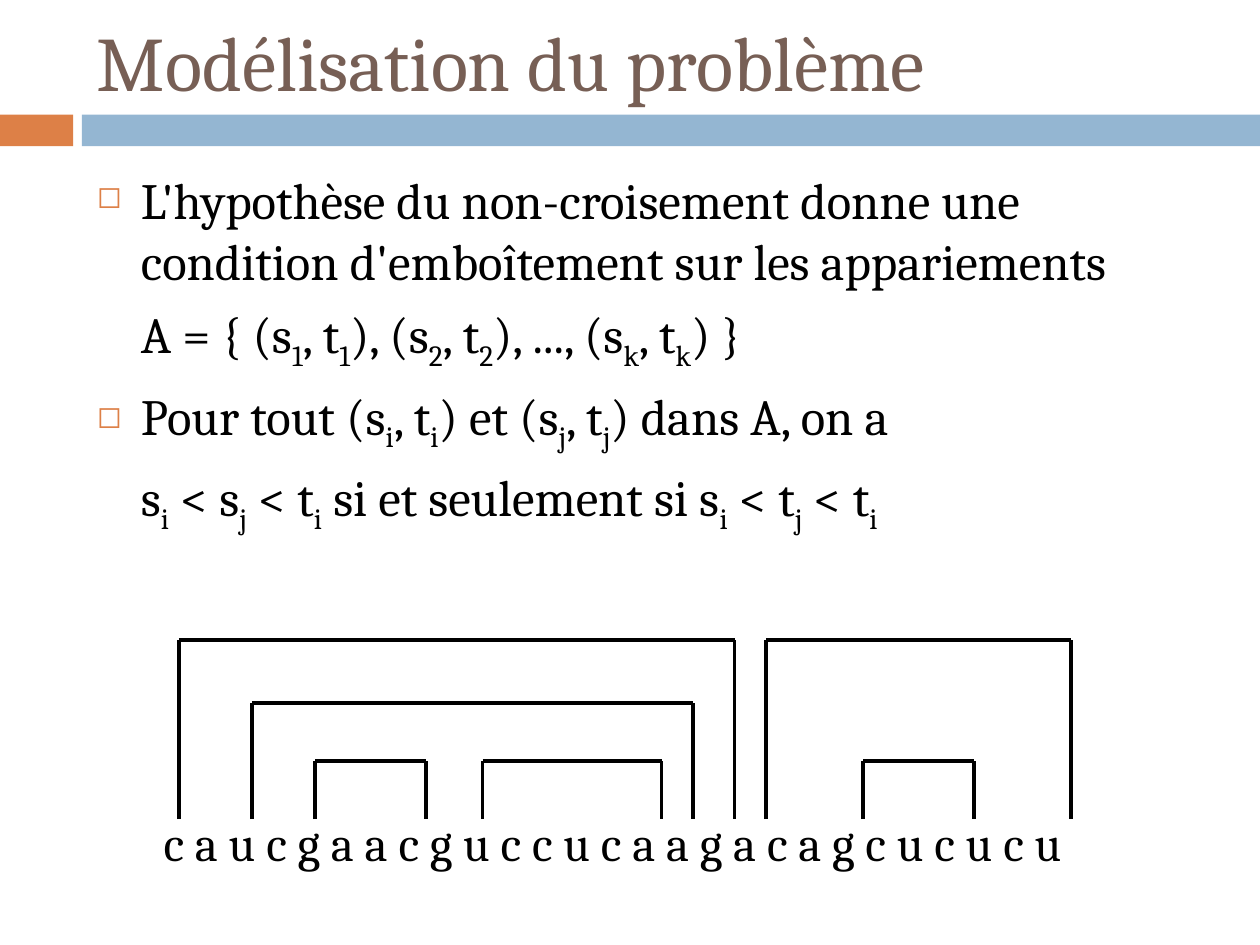
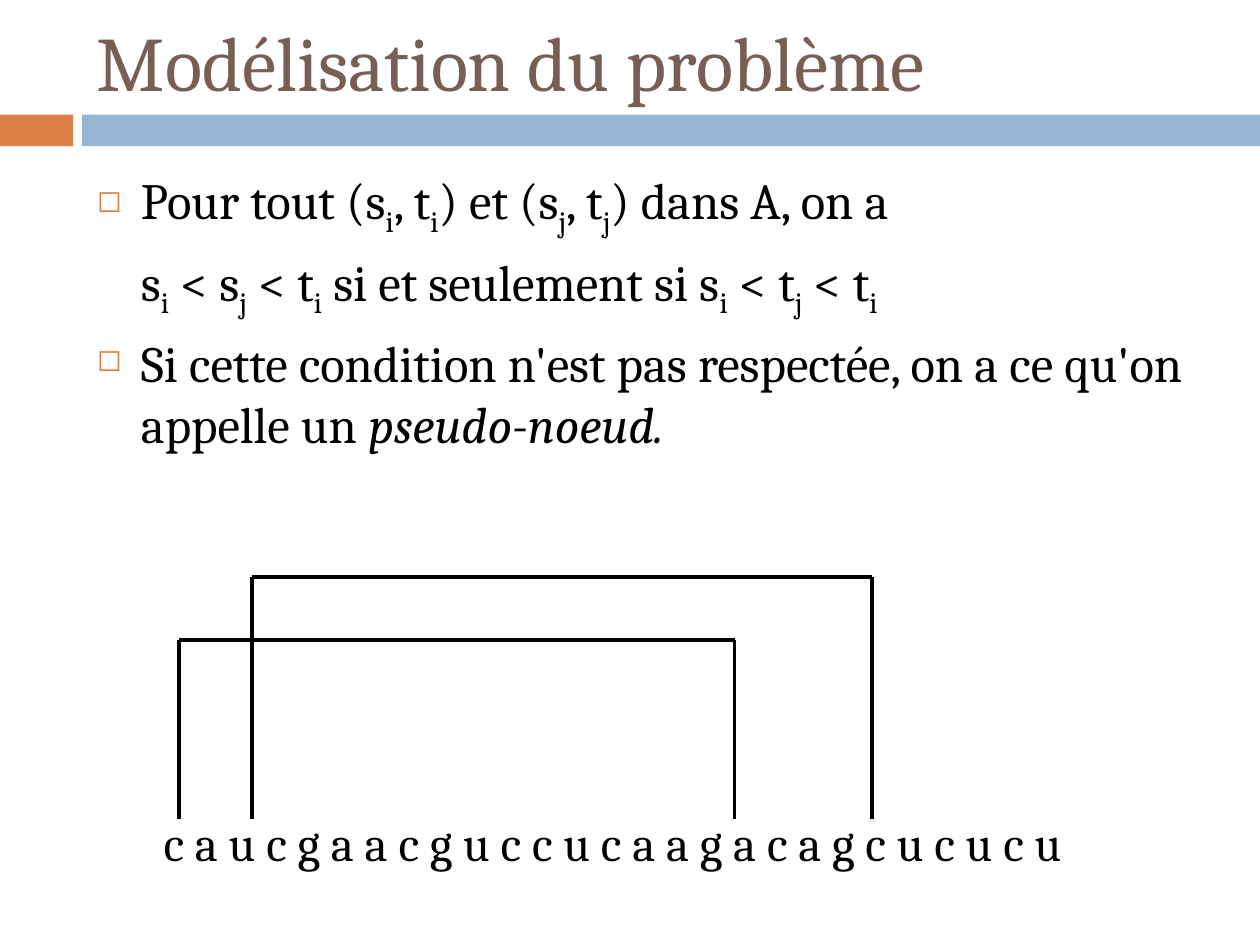
from lxml import etree
from pptx import Presentation
from pptx.dml.color import RGBColor
from pptx.enum.shapes import MSO_CONNECTOR as LINE, MSO_SHAPE as SHAPE
from pptx.enum.text import MSO_ANCHOR as ANCHOR
from pptx.oxml.ns import qn
from pptx.util import Inches, Pt

FONT = "Cambria"
BLACK, BROWN, ORANGE, BLUE = "000000", "775F55", "DD8047", "94B6D2"
TITLE = "Modélisation du problème"
SEQUENCE = "caucgaacguccucaagacagcucucu"
BASE_LINE = 6.5
LOW, MIDDLE, HIGH, TOP = 6.04, 5.58, 5.08, 4.58
OUTER_ARC = (1.42, 5.83, HIGH)

CONDITION = [
    dict(text="Pour tout (s_i, t_i) et (s_j, t_j) dans A, on a", bullet=True),
    dict(text="s_i < s_j < t_i si et seulement si s_i < t_j < t_i"),
]
NESTED = [
    dict(text="L'hypothèse du non-croisement donne une condition d'emboîtement "
              "sur les appariements", bullet=True),
    dict(text="A = { (s_1, t_1), (s_2, t_2), ..., (s_k, t_k) }"),
    *CONDITION,
]
PSEUDOKNOT = [
    *CONDITION,
    dict(text="Si cette condition n'est pas respectée, on a ce qu'on appelle un ",
         bullet=True, emphasis="pseudo-noeud."),
]
NESTED_ARCS = [
    OUTER_ARC, (2, 5.5, MIDDLE), (2.5, 3.38, LOW), (3.83, 5.25, LOW),
    (6.08, 8.5, HIGH), (6.85, 7.73, LOW),
]
CROSSING_ARCS = [OUTER_ARC, (2, 6.92, TOP)]


def color(value):
    """Turn a hex string into a colour."""
    return RGBColor.from_string(value)


def add_text(para, text, size=29, fill=BLACK, italic=False, subscript=False):
    """Append one formatted span to a paragraph."""
    span = para.add_run()
    span.text = text
    span.font.name = FONT
    span.font.size = Pt(size)
    span.font.color.rgb = color(fill)
    if italic:
        span.font.italic = True
    if subscript:
        span.font._element.set("baseline", "-25000")


def add_box(page, left, top, width, height, anchor=ANCHOR.TOP):
    """Add a wrapping text box and return its text frame."""
    box = page.shapes.add_textbox(*map(Inches, (left, top, width, height)))
    frame = box.text_frame
    frame.word_wrap = True
    frame.vertical_anchor = anchor
    return frame


def add_band(page, left, width, fill):
    """Add one part of the band under the title."""
    band = page.shapes.add_shape(
        SHAPE.RECTANGLE, *map(Inches, (left, 0.91, width, 0.25)))
    band.shadow.inherit = False
    band.fill.solid()
    band.fill.fore_color.rgb = color(fill)
    band.line.fill.background()


def indent(para, bullet):
    """Indent a paragraph, with a hanging square bullet if asked."""
    props = para._p.get_or_add_pPr()
    props.set("marL", str(Inches(0.35)))
    props.set("indent", str(Inches(-0.35) if bullet else 0))
    if bullet:
        tint = etree.SubElement(props, qn("a:buClr"))
        etree.SubElement(tint, qn("a:srgbClr"), val=ORANGE)
        etree.SubElement(props, qn("a:buSzPct"), val="60000")
        etree.SubElement(props, qn("a:buChar"), char="◻")


def add_statement(para, text, bullet=False, emphasis=""):
    """Write a statement in which an underscore lowers the next letter."""
    indent(para, bullet)
    start, *parts = text.split("_")
    add_text(para, start)
    for part in parts:
        add_text(para, part[0], subscript=True)
        if part[1:]:
            add_text(para, part[1:])
    if emphasis:
        add_text(para, emphasis, italic=True)


def add_body(page, statements):
    """Add the list of statements."""
    frame = add_box(page, 0.67, 1.29, 8.92, 4.92)
    for number, statement in enumerate(statements):
        para = frame.add_paragraph() if number else frame.paragraphs[0]
        if number:
            para.space_before = Pt(7)
        add_statement(para, **statement)


def add_line(page, start, end):
    """Draw a straight black line between two points."""
    line = page.shapes.add_connector(LINE.STRAIGHT, *map(Inches, start + end))
    line.line.color.rgb = color(BLACK)
    line.line.width = Pt(2)
    etree.SubElement(line._element.spPr, qn("a:effectLst"))


def add_arc(page, left, right, top):
    """Join two bases of the sequence with a square bracket."""
    corners = [(left, BASE_LINE), (left, top), (right, top), (right, BASE_LINE)]
    for start, end in zip(corners, corners[1:]):
        add_line(page, start, end)


def add_page(deck, statements, arcs):
    """Build a page: title, band, statements and paired sequence."""
    page = deck.slides.add_slide(deck.slide_layouts[6])
    add_band(page, 0, 0.58, ORANGE)
    add_band(page, 0.65, 9.35, BLUE)
    title = add_box(page, 0.67, 0.07, 8.92, 0.83, ANCHOR.MIDDLE)
    add_text(title.paragraphs[0], TITLE, size=44, fill=BROWN)
    add_body(page, statements)
    bases = add_box(page, 1.2, 6.4, 7.59, 0.57)
    add_text(bases.paragraphs[0], " ".join(SEQUENCE), size=28)
    for arc in arcs:
        add_arc(page, *arc)


def main():
    """Build and save the deck."""
    deck = Presentation()
    deck.slide_width, deck.slide_height = Inches(10), Inches(7.5)
    add_page(deck, NESTED, NESTED_ARCS)
    add_page(deck, PSEUDOKNOT, CROSSING_ARCS)
    deck.save("out.pptx")


if __name__ == "__main__":
    main()
